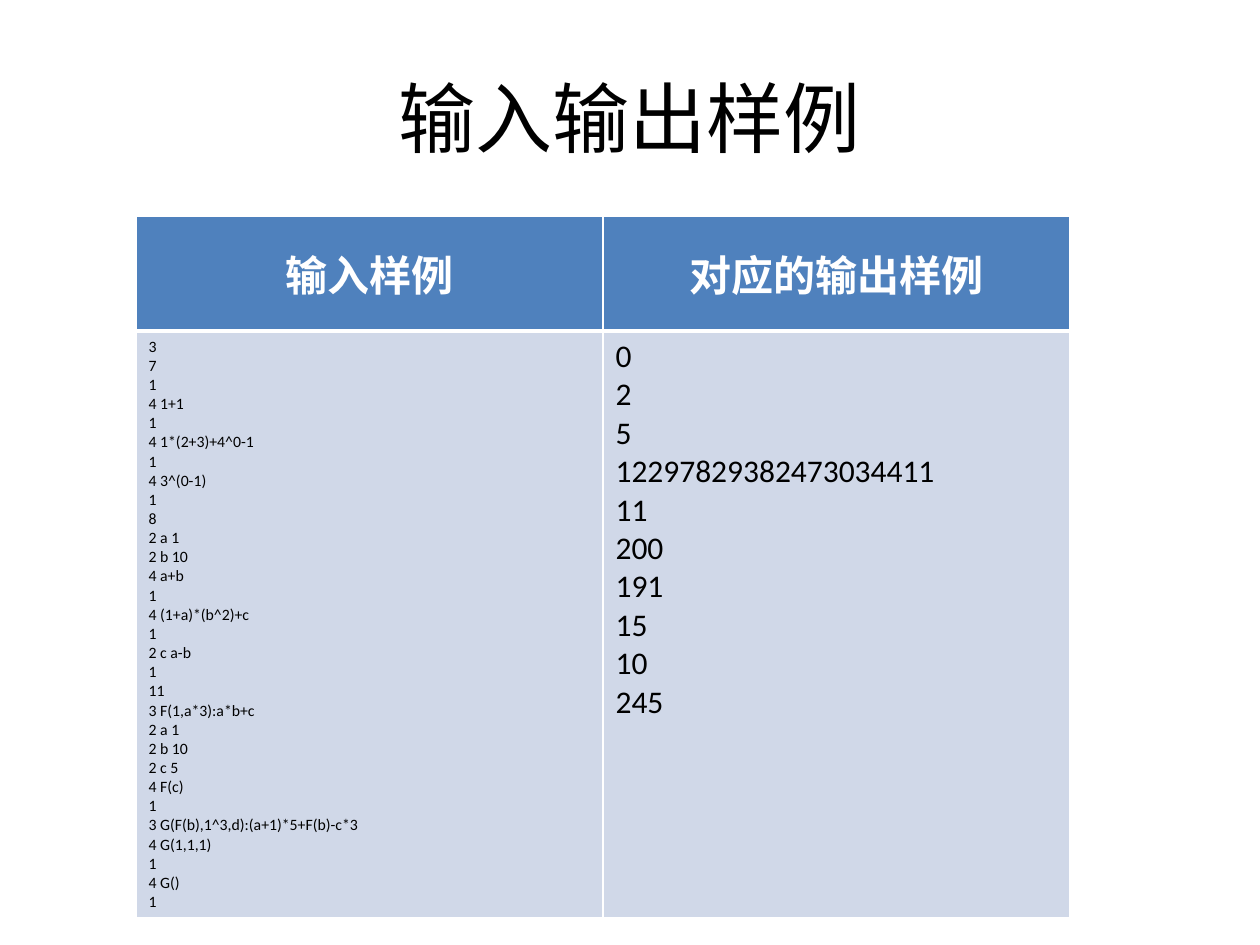
from lxml.etree import SubElement
from pptx import Presentation
from pptx.dml.color import RGBColor
from pptx.enum.text import MSO_ANCHOR as ANCHOR, PP_ALIGN as ALIGN
from pptx.oxml.ns import qn
from pptx.util import Emu, Pt

INPUT_LINES = [
    "3", "7", "1", "4 1+1", "1", "4 1*(2+3)+4^0-1", "1", "4 3^(0-1)", "1",
    "8", "2 a 1", "2 b 10", "4 a+b", "1", "4 (1+a)*(b^2)+c", "1", "2 c a-b", "1",
    "11", "3 F(1,a*3):a*b+c", "2 a 1", "2 b 10", "2 c 5", "4 F(c)", "1",
    "3 G(F(b),1^3,d):(a+1)*5+F(b)-c*3", "4 G(1,1,1)", "1", "4 G()", "1",
]
OUTPUT_LINES = ["0", "2", "5", "12297829382473034411", "11", "200", "191", "15", "10", "245"]


def px(length):
    return Emu(round(length * 914400 / 126))


def color(code):
    return RGBColor.from_string(code)


class SampleSlide:
    """Holds the style and the current slide, and adds its elements."""

    font = "Calibri"
    black, white = "000000", "FFFFFF"
    header_fill, body_fill = "4F81BD", "D0D8E8"

    def __init__(self, deck):
        self.slide = deck.slides.add_slide(deck.slide_layouts[5])

    def set_text(self, frame, lines, size, ink, align=ALIGN.LEFT, bold=False):
        frame.text = "\n".join(lines)
        font_format = {"name": self.font, "size": Pt(size), "bold": bold}
        for paragraph in frame.paragraphs:
            paragraph.alignment = align
            for run in paragraph.runs:
                for attribute, value in font_format.items():
                    setattr(run.font, attribute, value)
                run.font.color.rgb = color(ink)

    def title(self, wording, left, top, width, height):
        heading = self.slide.shapes.title
        place = {"left": left, "top": top, "width": width, "height": height}
        for attribute, value in place.items():
            setattr(heading, attribute, px(value))
        heading.text_frame.vertical_anchor = ANCHOR.MIDDLE
        self.set_text(heading.text_frame, [wording], 44, self.black, ALIGN.CENTER)

    def border(self, cell, widths):
        properties = cell._tc.get_or_add_tcPr()
        for side, width in zip("LRTB", widths):
            line = SubElement(properties, qn(f"a:ln{side}"), w=str(Pt(width)))
            fill = SubElement(line, qn("a:solidFill"))
            SubElement(fill, qn("a:srgbClr"), val=self.white)

    def cell(self, cell, lines, size, header):
        self.border(cell, (1, 1, 1, 3) if header else (1, 1, 3, 1))
        cell.fill.solid()
        cell.fill.fore_color.rgb = color(self.header_fill if header else self.body_fill)
        cell.vertical_anchor = ANCHOR.MIDDLE if header else ANCHOR.TOP
        ink = self.white if header else self.black
        align = ALIGN.CENTER if header else ALIGN.LEFT
        self.set_text(cell.text_frame, lines, size, ink, align, header)

    def table(self, samples, left, top, column_width, row_heights):
        frame = self.slide.shapes.add_table(
            len(row_heights), len(samples), px(left), px(top),
            px(column_width * len(samples)), px(sum(row_heights)))
        grid = frame.table
        grid.horz_banding = False
        for row, height in zip(grid.rows, row_heights):
            row.height = px(height)
        for index, (heading, lines, size) in enumerate(samples):
            grid.columns[index].width = px(column_width)
            self.cell(grid.cell(0, index), [heading], 24, True)
            self.cell(grid.cell(1, index), lines, size, False)


def main():
    deck = Presentation()
    deck.slide_width, deck.slide_height = px(1260), px(945)
    page = SampleSlide(deck)
    page.title("输入输出样例", 63, 38, 1134, 158)
    samples = [("输入样例", INPUT_LINES, 9), ("对应的输出样例", OUTPUT_LINES, 18)]
    page.table(samples, 136, 216, 467, (115, 202))
    deck.save("out.pptx")


if __name__ == "__main__":
    main()
